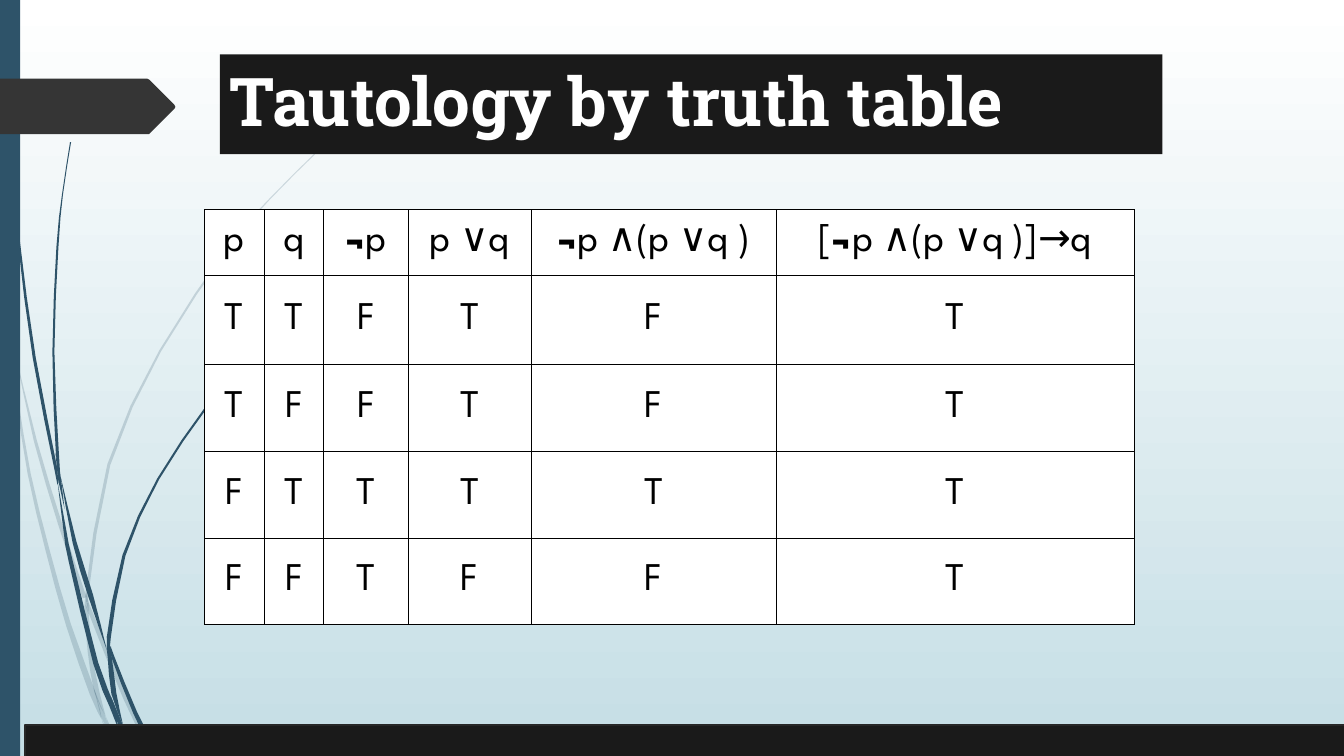
import itertools
import math

import pptx
import pptx.dml.color
import pptx.enum.shapes
import pptx.enum.text
import pptx.oxml
import pptx.oxml.ns
import pptx.util

WIDTH, HEIGHT = 13.33, 7.5
NAVY, CHARCOAL, INK, WHITE, BLACK = "2E5369", "353535", "1A1A1A", "FFFFFF", "000000"

# Each section of a stalk is a list of knots: x, y and thickness in inches.
PALE_SECTIONS = [
    [(0, 2.9, .03), (.05, 3.16, .03), (.11, 3.5, 0)],
    [(.14, 3.45, 0), (.35, 4.37, .03), (.6, 5.21, .04), (.84, 5.93, .04)],
    [(.88, 5.98, 0), (.9, 6.08, .04), (1.25, 6.93, .05), (1.53, 7.51, .05)],
    [(1.05, 7.11, 0), (1.13, 7.33, .03), (1.22, 7.51, .05)],
    [(.11, 3.5, 0), (.17, 3.96, .02), (.29, 4.7, .03), (.47, 5.45, .04),
     (.68, 6.2, .05), (.92, 6.88, .06), (1.01, 7.14, 0)],
    [(.84, 5.99, 0), (.86, 6.09, .04), (.89, 6.46, .04), (.96, 6.86, .05), (1.05, 7.11, 0)],
    [(3.12, 1.53, .01), (2.68, 1.97, .01), (2.28, 2.44, .02), (1.59, 3.48, .02),
     (1.08, 4.61, .03), (.87, 5.84, .03), (.88, 5.96, 0)],
    [(1.01, 7.14, 0), (1.08, 7.33, .03), (1.17, 7.51, .05)],
    [(.85, 5.86, 0), (.86, 5.98, .04), (.88, 6.1, 0)],
    [(.93, 6.83, 0), (1.02, 7.1, .04), (1.19, 7.51, 0)],
]
DARK_SECTIONS = [
    [(.04, 0, .01), (.05, .48, .01), (.08, 1.1, .01), (.18, 2.33, .02),
     (.34, 3.55, .03), (.55, 4.63, .03), (.57, 4.81, 0)],
    [(.6, 4.72, 0), (.74, 5.38, .04), (.9, 5.91, .05), (1.06, 6.45, 0)],
    [(1.1, 6.41, 0), (1.12, 6.52, .03), (1.34, 7.07, .04), (1.55, 7.49, .05)],
    [(.57, 4.77, 0), (.65, 5.3, .03), (.7, 5.56, .04), (.95, 6.58, .05),
     (1.11, 7, .05), (1.17, 7.22, 0)],
    [(.7, 1.41, .01), (.62, 1.93, .01), (.57, 2.45, .02), (.53, 3.49, .02),
     (.57, 4.51, .03), (.6, 4.72, 0)],
    [(1.22, 7.19, 0), (1.28, 7.35, .03), (1.34, 7.49, .04)],
    [(.55, 4.49, 0), (.59, 4.75, .03), (.64, 5.05, 0)],
    [(2.6, 3.44, .01), (2.31, 3.73, .01), (2.04, 4.05, .02), (1.57, 4.75, .02),
     (1.23, 5.51, .03), (1.08, 6.32, .04), (1.1, 6.41, 0)],
    [(1.06, 6.45, 0), (1.09, 6.53, .04), (1.13, 6.88, .05), (1.22, 7.19, 0)],
    [(1.06, 6.31, 0), (1.08, 6.44, .04), (1.11, 6.56, 0)],
    [(1.1, 6.91, 0), (1.18, 7.15, .04), (1.32, 7.49, .03)],
]
ARROW_OUTLINE = [(0, 0), (1.46, 0), (1.48, .01), (1.73, .26), (1.74, .28),
                 (1.73, .3), (1.48, .55), (0, .55)]

COLUMN_WIDTHS = [.59, .59, .84, 1.22, 2.43, 3.55]
ROW_HEIGHTS = [.65, .89, .86, .86, .86]
TRUTH_ROWS = [
    ["p", "q", "¬p", "p ∨q", "¬p ∧(p ∨q )", "[¬p ∧(p ∨q )]→q"],
    "TTFTFT", "TFFTFT", "FTTTTT", "FFTFFT",
]


def rgb(hex_color):
    return pptx.dml.color.RGBColor.from_string(hex_color)


def inches(*lengths):
    return [pptx.util.Inches(length) for length in lengths]


def format_font(font, color, **values):
    font.color.rgb = rgb(color)
    for attribute, value in values.items():
        setattr(font, attribute, value)


def paint(shape, color, opacity=100):
    shape.shadow.inherit = False
    shape.line.fill.background()
    shape.fill.solid()
    shape.fill.fore_color.rgb = rgb(color)
    if opacity < 100:
        tone = shape.fill._xPr.find(".//" + pptx.oxml.ns.qn("a:srgbClr"))
        alpha = pptx.oxml.parse_xml(f'<a:alpha {pptx.oxml.ns.nsdecls("a")} val="{opacity * 1000}"/>')
        tone.append(alpha)


def add_block(slide, box, color):
    block = slide.shapes.add_shape(pptx.enum.shapes.MSO_SHAPE.RECTANGLE, *inches(*box))
    paint(block, color)
    return block


def add_outline(slide, origin, points, color, opacity=100):
    """Draw a filled polygon whose points are inches from origin."""
    left, top = origin
    corners = [inches(left + x, top + y) for x, y in points]
    builder = slide.shapes.build_freeform(*corners[0], scale=1.0)
    builder.add_line_segments(corners[1:], close=True)
    paint(builder.convert_to_shape(), color, opacity)


def smooth(knots, steps=2):
    """Return points on a Catmull-Rom curve through the knots."""
    padded = [knots[0], *knots, knots[-1]]
    curve = []
    for a, b, c, d in zip(padded, padded[1:], padded[2:], padded[3:]):
        for step in range(steps):
            t = step / steps
            curve.append([
                q + t * (r - p) / 2 + t**2 * (2 * p - 5 * q + 4 * r - s) / 2
                + t**3 * (3 * q - p - 3 * r + s) / 2
                for p, q, r, s in zip(a, b, c, d)])
    return curve + [list(knots[-1])]


def add_stalk_section(slide, origin, knots, color, opacity):
    curve = smooth(knots) if len(knots) > 3 else knots
    near, far = [], []
    for index, (x, y, thickness) in enumerate(curve):
        before, after = curve[max(index - 1, 0)], curve[min(index + 1, len(curve) - 1)]
        dx, dy = after[0] - before[0], after[1] - before[1]
        reach = thickness / 2 / math.hypot(dx, dy)
        near.append((x - dy * reach, y + dx * reach))
        far.append((x + dy * reach, y - dx * reach))
    add_outline(slide, origin, near + far[::-1], color, opacity)


def add_backdrop(slide, box):
    left, top, width, height = box
    sky = slide.background.fill
    sky.gradient()
    sky.gradient_angle = 270
    for stop, position, color in zip(sky.gradient_stops, (0, 1), (WHITE, "C5DEE5")):
        stop.position = position
        stop.color.rgb = rgb(color)
    for sections, opacity in ((PALE_SECTIONS, 20), (DARK_SECTIONS, 100)):
        for knots in sections:
            add_stalk_section(slide, (left, top), knots, NAVY, opacity)
    add_block(slide, (left, top, width * .015, height), NAVY)
    add_outline(slide, (left, top + .78), ARROW_OUTLINE, CHARCOAL)


def add_title(slide, box):
    banner = add_block(slide, box, INK)
    frame = banner.text_frame
    frame.word_wrap = True
    frame.vertical_anchor = pptx.enum.text.MSO_ANCHOR.TOP
    heading = frame.paragraphs[0]
    heading.alignment = pptx.enum.text.PP_ALIGN.LEFT
    run = heading.add_run()
    run.text = "Tautology by truth table"
    format_font(run.font, WHITE, name="Roboto Slab", size=pptx.util.Pt(48), bold=True)


def add_borders(cell):
    properties = cell._tc.get_or_add_tcPr()
    for side in "LRTB":
        properties.append(pptx.oxml.parse_xml(
            f'<a:ln{side} {pptx.oxml.ns.nsdecls("a")} w="12700"><a:solidFill>'
            f'<a:srgbClr val="{BLACK}"/></a:solidFill></a:ln{side}>'))


def fill_cell(cell, formula):
    """Write a formula with its negation signs in bold."""
    add_borders(cell)
    cell.fill.solid()
    cell.fill.fore_color.rgb = rgb(WHITE)
    cell.vertical_anchor = pptx.enum.text.MSO_ANCHOR.MIDDLE
    paragraph = cell.text_frame.paragraphs[0]
    paragraph.alignment = pptx.enum.text.PP_ALIGN.CENTER
    for negation, symbols in itertools.groupby(formula, lambda symbol: symbol == "¬"):
        run = paragraph.add_run()
        run.text = "".join(symbols)
        format_font(run.font, BLACK, name="League Spartan", size=pptx.util.Pt(28), bold=negation)


def add_truth_table(slide, left, top):
    box = inches(left, top, sum(COLUMN_WIDTHS), sum(ROW_HEIGHTS))
    table = slide.shapes.add_table(len(ROW_HEIGHTS), len(COLUMN_WIDTHS), *box).table
    table.first_row = table.horz_banding = False
    for column, width in zip(table.columns, inches(*COLUMN_WIDTHS)):
        column.width = width
    for row, height, formulas in zip(table.rows, inches(*ROW_HEIGHTS), TRUTH_ROWS):
        row.height = height
        for cell, formula in zip(row.cells, formulas):
            fill_cell(cell, formula)


def add_footer_bar(slide, box):
    bar = add_block(slide, box, INK)
    bar.line.color.rgb = rgb("272727")
    bar.line.width = pptx.util.Pt(1.25)


def main():
    deck = pptx.Presentation()
    deck.slide_width, deck.slide_height = inches(WIDTH, HEIGHT)
    slide = deck.slides.add_slide(deck.slide_layouts[6])
    add_backdrop(slide, (0, 0, WIDTH, HEIGHT))
    add_title(slide, (2.18, .54, 9.35, .99))
    add_truth_table(slide, 2.03, 2.08)
    add_footer_bar(slide, (.25, 7.19, WIDTH, .39))
    deck.save("out.pptx")


if __name__ == "__main__":
    main()
